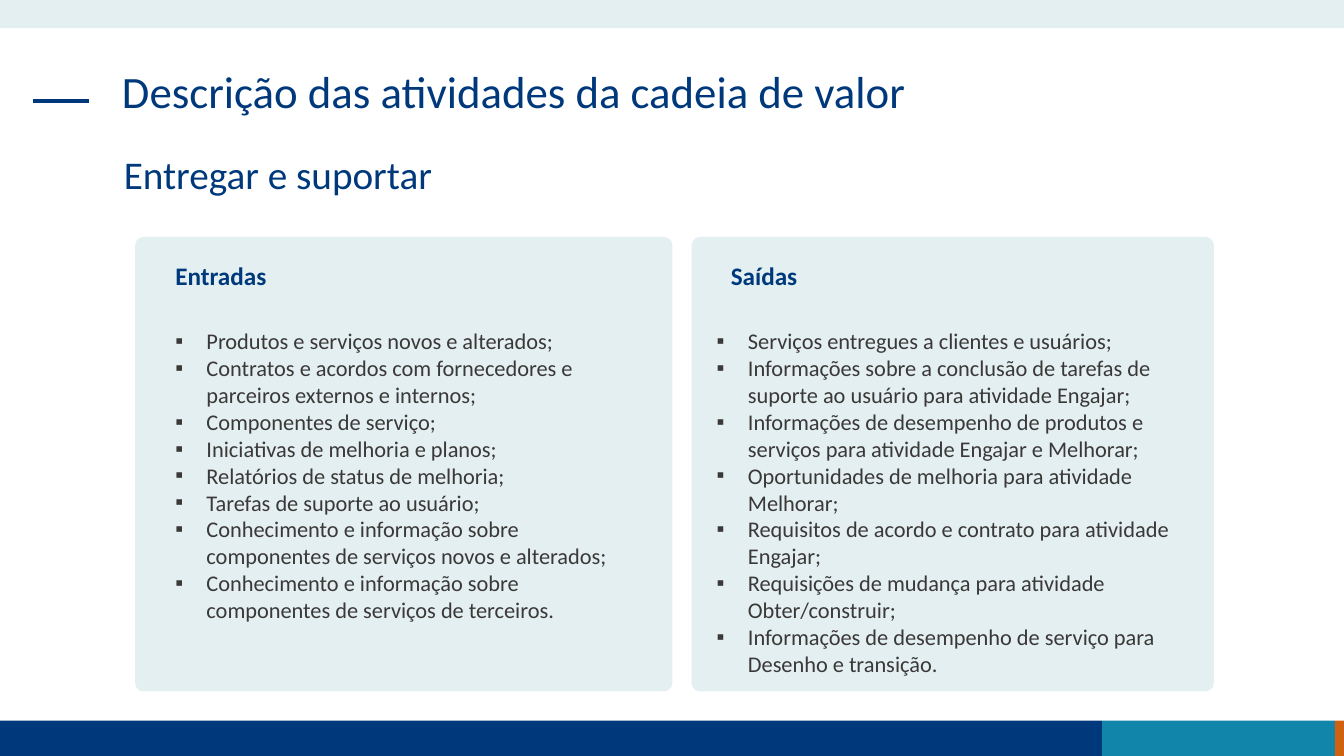
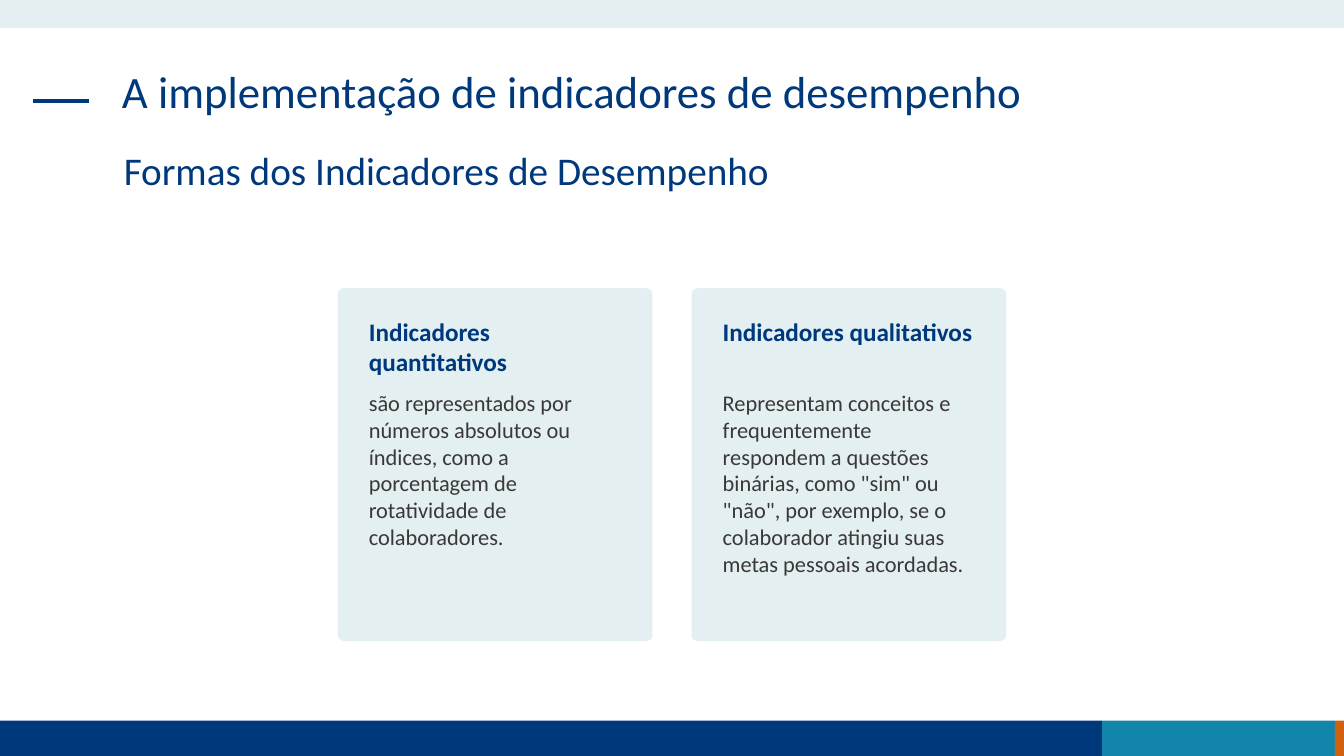
from lxml.etree import SubElement
from pptx import Presentation
from pptx.dml.color import RGBColor
from pptx.enum.shapes import MSO_CONNECTOR as Connector, MSO_SHAPE as Shape
from pptx.enum.text import MSO_ANCHOR as Anchor, MSO_AUTO_SIZE as AutoSize, PP_ALIGN as Align
from pptx.oxml.ns import qn
from pptx.util import Inches, Pt

# Shared style
WIDTH, HEIGHT = 13.33, 7.5
FONT = "Calibri"
COLORS = {"navy": "00397B", "teal": "1185AA", "orange": "D06110", "pale": "E3EFF1", "text": "3B3838"}
TITLE_BOX = (1.11, 0.64, 11.1, 0.94)
SUBTITLE_LEFT, SUBTITLE_HEIGHT = 1.13, 0.59
FOOTER_TOP = 7.15
FOOTER_EDGES = [("navy", 0, 10.93), ("teal", 10.93, 13.24), ("orange", 13.24, WIDTH)]
HEADER_HEIGHT = 0.28
DASH = (0.33, 0.88, 1)  # left, right, height on the slide
CORNER, INDENT, BULLET = 0.019, 0.31, "▪"

# Content: cards run left to right from "left", separated by "gap"
SLIDES = [
    {
        "title": "Descrição das atividades da cadeia de valor",
        "subtitle": "Entregar e suportar", "subtitle_top": 1.49,
        "left": 1.34, "top": 2.35, "height": 4.51, "gap": 0.19,
        "heading_top": 2.53, "body_top": 3.2, "bulleted": True,
        "cards": [
            {"heading": "Entradas", "width": 5.33, "heading_inset": 0.3, "body_inset": 0.3, "body": [
                "Produtos e serviços novos e alterados;",
                "Contratos e acordos com fornecedores e parceiros externos e internos;",
                "Componentes de serviço;",
                "Iniciativas de melhoria e planos;",
                "Relatórios de status de melhoria;",
                "Tarefas de suporte ao usuário;",
                "Conhecimento e informação sobre componentes de serviços novos e alterados;",
                "Conhecimento e informação sobre componentes de serviços de terceiros.",
            ]},
            {"heading": "Saídas", "width": 5.18, "heading_inset": 0.29, "body_inset": 0.15, "body": [
                "Serviços entregues a clientes e usuários;",
                "Informações sobre a conclusão de tarefas de suporte ao usuário para atividade Engajar;",
                "Informações de desempenho de produtos e serviços para atividade Engajar e Melhorar;",
                "Oportunidades de melhoria para atividade Melhorar;",
                "Requisitos de acordo e contrato para atividade Engajar;",
                "Requisições de mudança para atividade Obter/construir;",
                "Informações de desempenho de serviço para Desenho e transição.",
            ]},
        ],
    },
    {
        "title": "A implementação de indicadores de desempenho",
        "subtitle": "Formas dos Indicadores de Desempenho", "subtitle_top": 1.45,
        "left": 3.35, "top": 2.86, "height": 3.5, "gap": 0.39,
        "heading_top": 3.09, "body_top": 3.81, "bulleted": False,
        "cards": [
            {"heading": "Indicadores quantitativos", "width": 3.12, "heading_inset": 0.21, "body_inset": 0.21, "body": [
                "são representados por números absolutos ou índices, como a porcentagem de "
                "rotatividade de colaboradores.",
            ]},
            {"heading": "Indicadores qualitativos", "width": 3.12, "heading_inset": 0.21, "body_inset": 0.21, "body": [
                'Representam conceitos e frequentemente respondem a questões binárias, como "sim" ou '
                '"não", por exemplo, se o colaborador atingiu suas metas pessoais acordadas.',
            ]},
        ],
    },
]


def color(name):
    return RGBColor.from_string(COLORS[name])


def add_block(slide, kind, fill, left, top, width, height):
    shape = slide.shapes.add_shape(kind, *map(Inches, (left, top, width, height)))
    shape.shadow.inherit = False
    shape.fill.solid()
    shape.fill.fore_color.rgb = color(fill)
    shape.line.fill.background()
    return shape


def add_bullet(paragraph):
    properties = paragraph._p.get_or_add_pPr()
    properties.set("marL", str(Inches(INDENT)))
    properties.set("indent", str(-Inches(INDENT)))
    SubElement(properties, qn("a:buFont")).set("typeface", "Arial")
    SubElement(properties, qn("a:buChar")).set("char", BULLET)


def write(shape, lines, size, fill, bold=False, bulleted=False, heading=False):
    frame = shape.text_frame
    frame.word_wrap = True
    frame.auto_size = AutoSize.NONE
    frame.vertical_anchor = Anchor.TOP
    for index, line in enumerate(lines):
        paragraph = frame.add_paragraph() if index else frame.paragraphs[0]
        paragraph.alignment = Align.LEFT
        if heading:
            paragraph.line_spacing = 0.9
            paragraph.space_before = Pt(10)
        if bulleted:
            add_bullet(paragraph)
        run = paragraph.add_run()
        run.text = line
        run.font.name, run.font.size, run.font.bold = FONT, Pt(size), bold
        run.font.color.rgb = color(fill)


def add_text(slide, left, top, width, height, *args, **style):
    box = slide.shapes.add_textbox(*map(Inches, (left, top, width, height)))
    write(box, *args, **style)


def add_frame(slide, title):
    # Bands
    for fill, start, end in FOOTER_EDGES:
        add_block(slide, Shape.RECTANGLE, fill, start, FOOTER_TOP, end - start, HEIGHT - FOOTER_TOP)
    add_block(slide, Shape.RECTANGLE, "pale", 0, 0, WIDTH, HEADER_HEIGHT)

    # Dash beside the title
    start, end, level = map(Inches, DASH)
    dash = slide.shapes.add_connector(Connector.STRAIGHT, start, level, end, level)
    dash.line.color.rgb = color("navy")
    dash.line.width = Pt(3)
    SubElement(dash._element.spPr, qn("a:effectLst"))

    # Title
    shape = slide.shapes.title
    shape.left, shape.top, shape.width, shape.height = map(Inches, TITLE_BOX)
    write(shape, [title], 32, "navy", heading=True)


def add_cards(slide, content):
    left = content["left"]
    for card in content["cards"]:
        width = card["width"]
        panel = add_block(slide, Shape.ROUNDED_RECTANGLE, "pale",
                          left, content["top"], width, content["height"])
        panel.adjustments[0] = CORNER
        bottom = content["top"] + content["height"]
        parts = [
            ("heading", [card["heading"]], content["body_top"], 18, "navy", True, False),
            ("body", card["body"], bottom, 16, "text", False, content["bulleted"]),
        ]
        for part, lines, end, size, fill, bold, bulleted in parts:
            inset, top = card[part + "_inset"], content[part + "_top"]
            add_text(slide, left + inset, top, width - 2 * inset, end - top,
                     lines, size, fill, bold=bold, bulleted=bulleted)
        left += width + content["gap"]


def main():
    presentation = Presentation()
    presentation.slide_width, presentation.slide_height = Inches(WIDTH), Inches(HEIGHT)
    title_only = presentation.slide_layouts[5]
    for content in SLIDES:
        slide = presentation.slides.add_slide(title_only)
        add_frame(slide, content["title"])
        add_text(slide, SUBTITLE_LEFT, content["subtitle_top"], TITLE_BOX[2], SUBTITLE_HEIGHT,
                 [content["subtitle"]], 28, "navy", heading=True)
        add_cards(slide, content)
    presentation.save("out.pptx")


if __name__ == "__main__":
    main()
